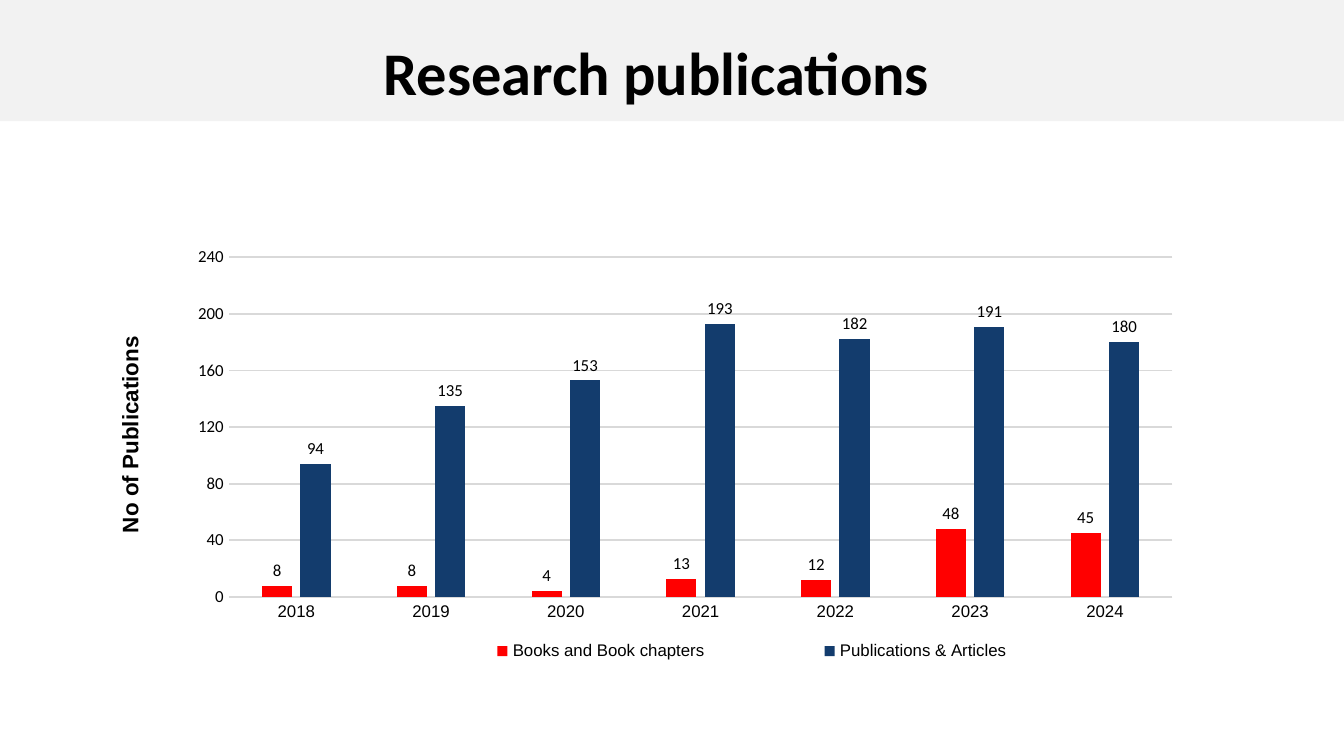
from dataclasses import dataclass

from lxml.etree import SubElement
from pptx import Presentation
from pptx.chart.data import CategoryChartData
from pptx.dml.color import RGBColor
from pptx.enum.chart import XL_CHART_TYPE, XL_LABEL_POSITION, XL_LEGEND_POSITION, XL_TICK_MARK
from pptx.enum.shapes import MSO_SHAPE
from pptx.enum.text import MSO_ANCHOR, PP_ALIGN
from pptx.oxml.ns import qn
from pptx.util import Cm, Pt


@dataclass(frozen=True)
class Theme:
    """Hold the colours, fonts and type sizes of the slide."""
    ink: RGBColor = RGBColor(0, 0, 0)
    paper: RGBColor = RGBColor(255, 255, 255)
    band: RGBColor = RGBColor(0xF2, 0xF2, 0xF2)
    grid: RGBColor = RGBColor(0xD9, 0xD9, 0xD9)
    books: RGBColor = RGBColor(0xFF, 0, 0)
    articles: RGBColor = RGBColor(0x13, 0x3C, 0x6D)
    heading_font: str = "Calibri"
    label_font: str = "Arial"
    title_size: float = 32.4
    axis_title_size: float = 12
    chart_size: float = 9


THEME = Theme()
YEARS = [str(year) for year in range(2018, 2025)]
SERIES = [
    ("Books and Book chapters", (8, 8, 4, 13, 12, 48, 45), THEME.books),
    ("Publications & Articles", (94, 135, 153, 193, 182, 191, 180), THEME.articles),
]


def style_font(font, name, size, bold=False):
    """Give a font its face, size, weight and ink colour."""
    font.name, font.size, font.bold = name, Pt(size), bold
    font.color.rgb = THEME.ink


def add_rectangle(page, left, top, width, height, color):
    """Add a flat rectangle with no outline."""
    box = page.shapes.add_shape(MSO_SHAPE.RECTANGLE, Cm(left), Cm(top), Cm(width), Cm(height))
    box.shadow.inherit = False
    box.fill.solid()
    box.fill.fore_color.rgb = color
    box.line.fill.background()
    return box


def write_centred(box, text, font_name, size):
    """Write one bold line in the middle of a box."""
    frame = box.text_frame
    frame.word_wrap = True
    frame.vertical_anchor = MSO_ANCHOR.MIDDLE
    frame.text = text
    para = frame.paragraphs[0]
    para.alignment = PP_ALIGN.CENTER
    style_font(para.runs[0].font, font_name, size, True)


def set_layout(element, before, inner=False, **place):
    """Fix a chart part at fractions of the chart area."""
    for old in element.findall(qn("c:layout")):
        element.remove(old)
    layout = SubElement(element, qn("c:layout"))
    element.find(qn(before)).addprevious(layout)
    manual = SubElement(layout, qn("c:manualLayout"))
    if inner:
        SubElement(manual, qn("c:layoutTarget")).set("val", "inner")
    for mode in ("xMode", "yMode"):
        SubElement(manual, qn(f"c:{mode}")).set("val", "edge")
    for name, value in place.items():
        SubElement(manual, qn(f"c:{name}")).set("val", str(value))


def style_axes(chart):
    """Set the scale, grid and fonts of both axes."""
    years, counts = chart.category_axis, chart.value_axis
    for axis, font_name in ((years, THEME.label_font), (counts, THEME.heading_font)):
        axis.major_tick_mark = axis.minor_tick_mark = XL_TICK_MARK.NONE
        style_font(axis.tick_labels.font, font_name, THEME.chart_size)
    counts.minimum_scale, counts.maximum_scale, counts.major_unit = 0, 240, 40
    counts.tick_labels.number_format = "0"
    counts.tick_labels.number_format_is_linked = False
    counts.format.line.fill.background()
    counts.has_major_gridlines = True
    for line in (years.format.line, counts.major_gridlines.format.line):
        line.color.rgb = THEME.grid
        line.width = Pt(1)


def style_series(series, color):
    """Colour a series and show its values above the columns."""
    series.format.fill.solid()
    series.format.fill.fore_color.rgb = color
    labels = series.data_labels
    labels.show_value = True
    labels.position = XL_LABEL_POSITION.OUTSIDE_END
    labels.number_format = "0"
    labels.number_format_is_linked = False
    style_font(labels.font, THEME.heading_font, THEME.chart_size)


def add_publication_chart(page):
    """Add the clustered columns of publications by year."""
    chart_data = CategoryChartData()
    chart_data.categories = YEARS
    for name, values, _ in SERIES:
        chart_data.add_series(name, values)
    chart = page.shapes.add_chart(XL_CHART_TYPE.COLUMN_CLUSTERED, Cm(2.97), Cm(3.56),
                                  Cm(19.38), Cm(9.3), chart_data).chart
    chart.has_title = False
    style_font(chart.font, THEME.heading_font, THEME.chart_size)
    plot = chart.plots[0]
    plot.gap_width, plot.overlap, plot.vary_by_categories = 219, -27, False
    for series, (_, _, color) in zip(plot.series, SERIES):
        style_series(series, color)
    style_axes(chart)
    chart.has_legend = True
    legend = chart.legend
    legend.position = XL_LEGEND_POSITION.BOTTOM
    legend.include_in_layout = True
    style_font(legend.font, THEME.label_font, THEME.chart_size)
    plot_area = chart.element.find(".//" + qn("c:plotArea"))
    set_layout(plot_area, "c:barChart", inner=True, x=0.07, y=0.14, w=0.92, h=0.69)
    set_layout(chart.element.find(".//" + qn("c:legend")), "c:overlay",
               x=0.22, y=0.9, w=0.72, h=0.08)


def main():
    """Build the research publications slide."""
    deck = Presentation()
    deck.slide_width, deck.slide_height = Cm(25.4), Cm(14.28)
    page = deck.slides.add_slide(deck.slide_layouts[6])
    add_rectangle(page, 0, 0, 25.4, 2.29, THEME.band)
    title = page.shapes.add_textbox(Cm(4.7), Cm(0.74), Cm(15.42), Cm(1.22))
    write_centred(title, "Research publications", THEME.heading_font, THEME.title_size)
    add_publication_chart(page)
    axis_title = add_rectangle(page, 1.52, 4.78, 1.85, 6.86, THEME.paper)
    axis_title.line.color.rgb = THEME.paper
    axis_title.line.width = Pt(1.25)
    write_centred(axis_title, "No of Publications", THEME.label_font, THEME.axis_title_size)
    axis_title.text_frame._txBody.bodyPr.set("vert", "vert270")
    deck.save("out.pptx")


if __name__ == "__main__":
    main()
